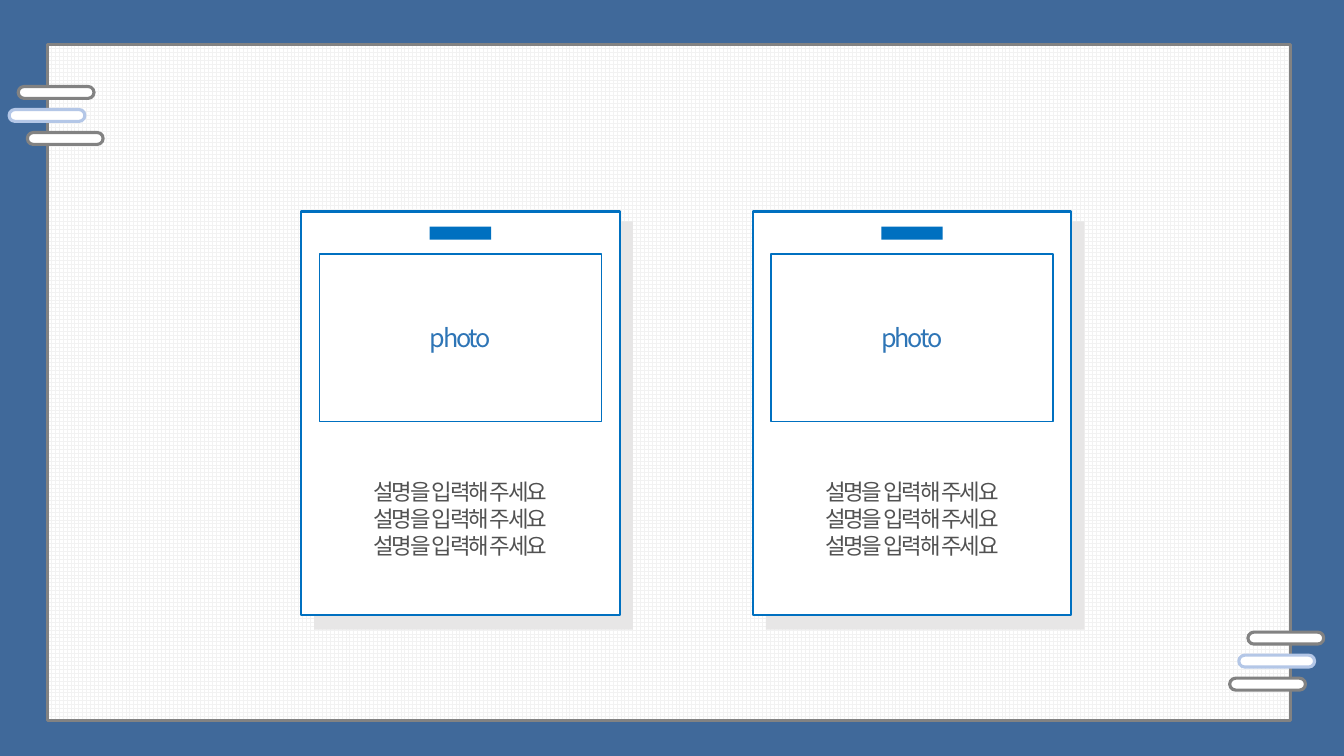
from pptx import Presentation
from pptx.dml.color import RGBColor
from pptx.enum.dml import MSO_PATTERN
from pptx.enum.shapes import MSO_SHAPE as SHAPE
from pptx.enum.text import MSO_ANCHOR as ANCHOR, PP_ALIGN as ALIGN
from pptx.oxml.ns import qn
from pptx.util import Cm, Pt
from lxml import etree

# Content
FONT = "Noto Sans CJK KR"
BLUE, GRAY, PALE, WHITE = "0070C0", "828282", "B4C7E7", "FFFFFF"
CARDS = [
    {"left": 7.59, "photo": "photo", "lines": ["설명을 입력해 주세요"] * 3},
    {"left": 18.97, "photo": "photo", "lines": ["설명을 입력해 주세요"] * 3},
]
CARD_TOP, CARD_W, CARD_H = 5.33, 8.03, 10.16
# Each clip: top of the first bar, then the left edge of each bar
CLIPS = [(2.18, [0.46, 0.23, 0.69]), (15.93, [31.45, 31.22, 30.99])]
BAR_COLORS, BAR_STEP = [GRAY, PALE, GRAY], 0.58


def rgb(color):
    return RGBColor.from_string(color)


def add_box(x, y, w, h, fill=WHITE, line=None, width=1.0, kind=SHAPE.RECTANGLE):
    sp = s.shapes.add_shape(kind, Cm(x), Cm(y), Cm(w), Cm(h))
    sp.shadow.inherit = False
    sp.fill.solid()
    sp.fill.fore_color.rgb = rgb(fill)
    if line:
        sp.line.color.rgb = rgb(line)
        sp.line.width = Pt(width)
    else:
        sp.line.fill.background()
    return sp


def write(sp, lines, size=16, color="525252", anchor=ANCHOR.TOP, spacing=-150):
    tf = sp.text_frame
    tf.word_wrap = True
    tf.vertical_anchor = anchor
    for i, text in enumerate(lines):
        p = tf.paragraphs[0] if i == 0 else tf.add_paragraph()
        p.alignment = ALIGN.CENTER
        r = p.add_run()
        r.text = text
        r.font.size = Pt(size)
        r.font.color.rgb = rgb(color)
        r.font.name = FONT
        rPr = r.font._element
        rPr.set("spc", str(spacing))
        etree.SubElement(rPr, qn("a:ea")).set("typeface", FONT)


prs = Presentation()
prs.slide_width, prs.slide_height = Cm(33.87), Cm(19.05)
s = prs.slides.add_slide(prs.slide_layouts[6])
s.background.fill.solid()
s.background.fill.fore_color.rgb = rgb("40699A")

# Grid paper
paper = add_box(1.19, 1.12, 31.34, 17.04, line=GRAY, width=2.25)
paper.fill.patterned()
paper.fill.pattern = MSO_PATTERN.LARGE_GRID
paper.fill.fore_color.rgb = rgb("F2F2F2")
paper.fill.back_color.rgb = rgb(WHITE)

# Clips at the paper's edges
for top, lefts in CLIPS:
    for i, (left, color) in enumerate(zip(lefts, BAR_COLORS)):
        bar = add_box(left, top + i * BAR_STEP, 1.91, 0.3, line=color,
                      width=2.25, kind=SHAPE.ROUNDED_RECTANGLE)
        bar.adjustments[0] = 0.5

# Photo cards
for card in CARDS:
    x, y = card["left"], CARD_TOP
    add_box(x + 0.33, y + 0.25, CARD_W, 10.29, fill="E7E6E6")
    add_box(x, y, CARD_W, CARD_H, line=BLUE, width=1.5)
    photo = add_box(x + 0.46, y + 1.07, 7.11, 4.22, line=BLUE)
    write(photo, [card["photo"]], size=18, color="2E75B6", anchor=ANCHOR.MIDDLE)
    caption = s.shapes.add_textbox(Cm(x), Cm(y + 6.59), Cm(CARD_W), Cm(2.31))
    write(caption, card["lines"])
    add_box(x + 3.24, y + 0.38, 1.55, 0.33, fill=BLUE)

prs.save("out.pptx")
